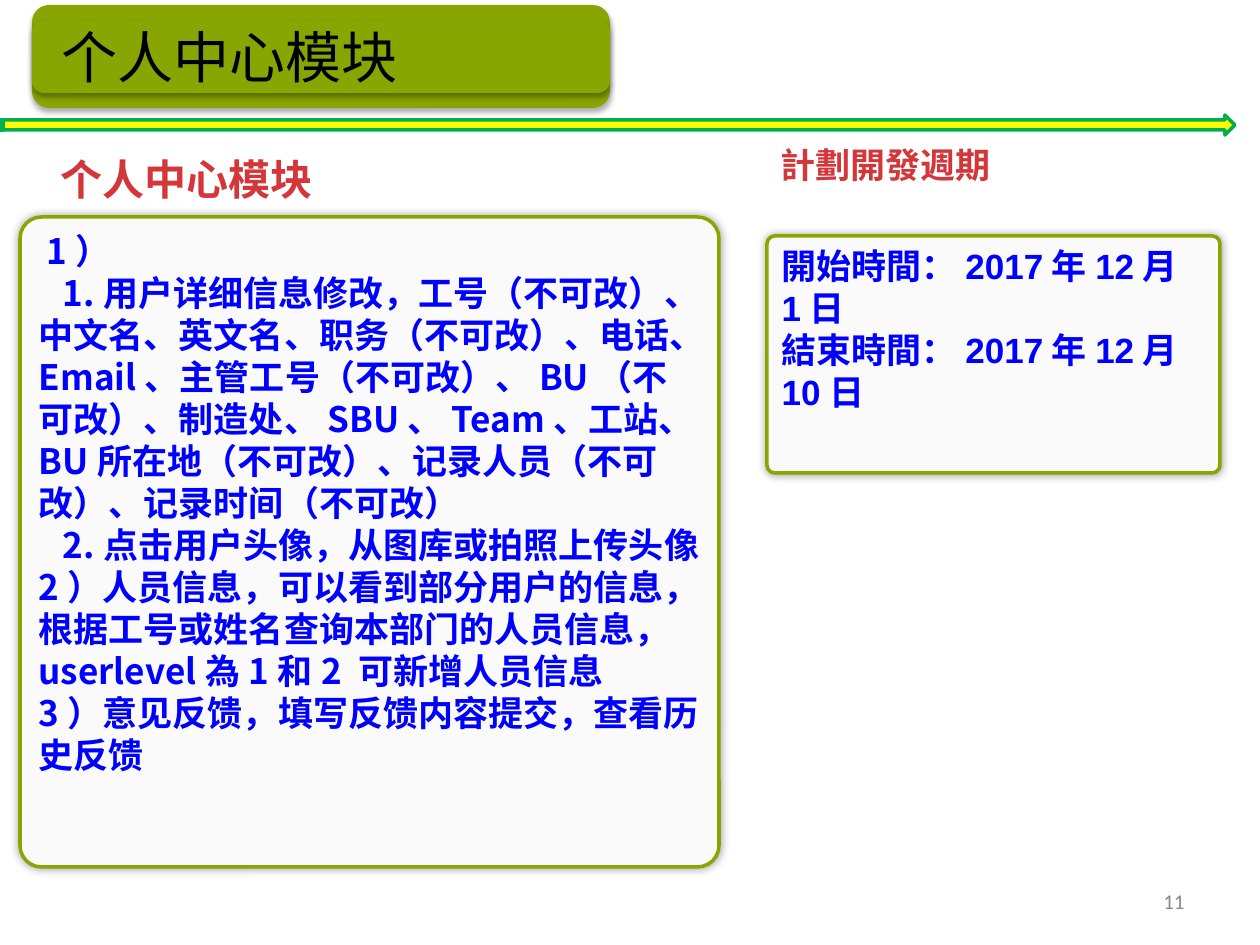
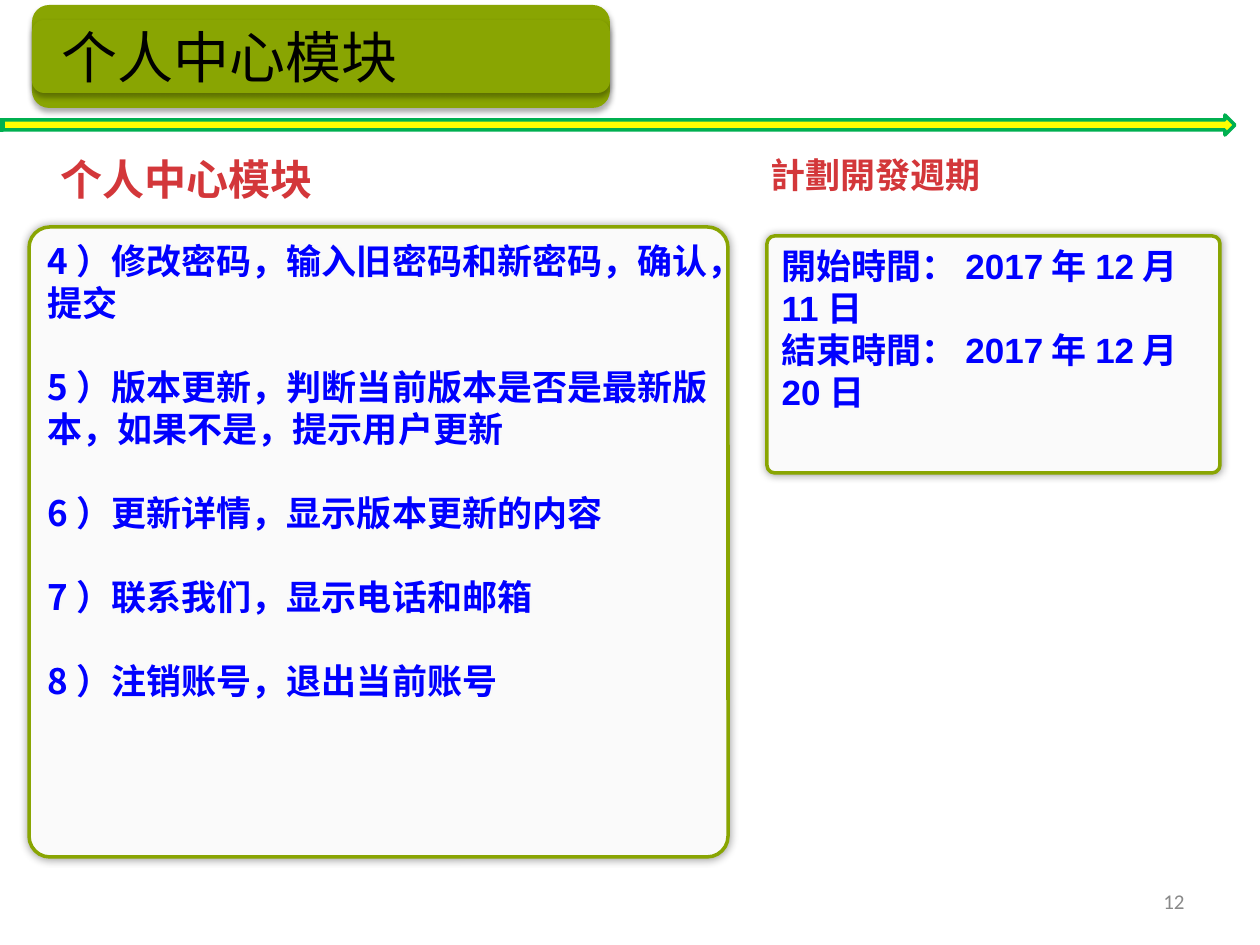
import dataclasses

import lxml.etree
import pptx
import pptx.dml.color
import pptx.enum.shapes
import pptx.enum.text
import pptx.oxml.ns
import pptx.util

Pt = pptx.util.Pt
Kind = pptx.enum.shapes.MSO_SHAPE
Align = pptx.enum.text.PP_ALIGN
Anchor = pptx.enum.text.MSO_ANCHOR
Fit = pptx.enum.text.MSO_AUTO_SIZE
qn = pptx.oxml.ns.qn

SCALE = 914400 / 126  # EMU in one pixel
HEX = {"olive": "89A502", "green": "00B050", "yellow": "FFFF00",
       "white": "FFFFFF", "black": "000000", "red": "D3373A",
       "blue": "0000FF", "gray": "898989"}


@dataclasses.dataclass(frozen=True)
class Box:
    left: int
    top: int
    width: int
    height: int

    def emu(self) -> list[int]:
        return [px(n) for n in dataclasses.astuple(self)]


@dataclasses.dataclass(frozen=True)
class Style:
    size: int
    color: str
    font: str = "Arial"
    bold: bool = True
    align: Align = Align.LEFT


@dataclasses.dataclass(frozen=True)
class Shade:
    alpha: int  # percent
    blur: float  # points
    dist: float  # points
    angle: int  # degrees


@dataclasses.dataclass(frozen=True)
class Para:
    text: str
    indent: int = 0  # pixels, first line only
    gap: int = 0  # points above


@dataclasses.dataclass(frozen=True)
class Page:
    number: int
    panel: Box
    items: list[Para]
    label: Box
    start: int
    end: int


TITLE = Style(32, "black", bold=False)
HEAD = Style(24, "red", align=Align.CENTER)
LABEL = Style(20, "red", align=Align.CENTER)
BODY = Style(20, "blue", "Noto Sans CJK SC")
DATES = Style(20, "blue")
NUMBER = Style(12, "gray", "Calibri", False, Align.RIGHT)
DROP = Shade(32, 3.5, 2.2, 90)
GLOW = Shade(40, 5, 0, 0)

NAME = "个人中心模块"
BANDS = [Box(32, 5, 578, 103), Box(32, 20, 578, 73)]


# Drawing helpers
def px(n: float) -> int:
    return round(n * SCALE)


def rgb(name: str) -> pptx.dml.color.RGBColor:
    return pptx.dml.color.RGBColor.from_string(HEX[name])


def write(frame, paras: list[Para], style: Style) -> None:
    for i, para in enumerate(paras):
        line = frame.paragraphs[0] if i == 0 else frame.add_paragraph()
        line.text = para.text
        line.alignment = style.align
        if para.gap:
            line.space_before = Pt(para.gap)
        if para.indent:
            line._p.get_or_add_pPr().set("indent", str(px(para.indent)))
        line.font.name = style.font
        line.font.size = Pt(style.size)
        line.font.bold = style.bold
        line.font.color.rgb = rgb(style.color)


def cast(shape, shade: Shade) -> None:
    """Give the shape an outer shadow."""
    shape.shadow.inherit = False
    effects = shape.element.spPr.find(qn("a:effectLst"))
    outer = lxml.etree.SubElement(
        effects, qn("a:outerShdw"), blurRad=str(Pt(shade.blur)),
        dist=str(Pt(shade.dist)), dir=str(shade.angle * 60000),
        algn="ctr", rotWithShape="0")
    color = lxml.etree.SubElement(outer, qn("a:srgbClr"), val=HEX["black"])
    lxml.etree.SubElement(color, qn("a:alpha"), val=str(shade.alpha * 1000))


def add_shape(shapes, kind: Kind, box: Box, fill: str, line: str = ""):
    shape = shapes.add_shape(kind, *box.emu())
    shape.shadow.inherit = False
    shape.fill.solid()
    shape.fill.fore_color.rgb = rgb(fill)
    if line:
        shape.line.color.rgb = rgb(line)
        shape.line.width = Pt(2)
    else:
        shape.line.fill.background()
    return shape


def add_panel(slide, box: Box, paras: list[Para], style: Style) -> None:
    panel = add_shape(slide.shapes, Kind.ROUNDED_RECTANGLE, box,
                      "white", "olive")
    panel.adjustments[0] = 0.033
    color = panel.element.spPr.find(qn("a:solidFill"))[0]
    lxml.etree.SubElement(color, qn("a:alpha"), val="95000")
    cast(panel, GLOW)
    frame = panel.text_frame
    frame.word_wrap = True
    frame.vertical_anchor = Anchor.TOP
    write(frame, paras, style)


def add_text(slide, box: Box, text: str, style: Style,
             anchor: Anchor = Anchor.TOP) -> None:
    frame = slide.shapes.add_textbox(*box.emu()).text_frame
    frame.word_wrap = True
    frame.vertical_anchor = anchor
    write(frame, [Para(text)], style)


def add_title(slide) -> None:
    """Draw the arrow rule, the banner and the title on top of it."""
    add_shape(slide.shapes, Kind.STRIPED_RIGHT_ARROW, Box(0, 115, 1235, 20),
              "yellow", "green")
    group = slide.shapes.add_group_shape()
    for box in BANDS:
        band = add_shape(group.shapes, Kind.ROUNDED_RECTANGLE, box, "olive")
        cast(band, DROP)
    title = slide.shapes.title
    title.left, title.top, title.width, title.height = Box(
        49, 16, 364, 81).emu()
    frame = title.text_frame
    frame.word_wrap = False
    frame.auto_size = Fit.NONE
    frame.vertical_anchor = Anchor.TOP
    write(frame, [Para(NAME)], TITLE)
    title.element.getparent().append(title.element)


def add_page(deck, page: Page) -> None:
    slide = deck.slides.add_slide(deck.slide_layouts[5])
    add_title(slide)
    add_text(slide, Box(29, 147, 315, 63), NAME, HEAD)
    add_panel(slide, page.panel, page.items, BODY)
    add_text(slide, Box(903, 876, 294, 50), str(page.number), NUMBER,
             Anchor.MIDDLE)
    dates = [Para(f"{word}時間：2017年12月{day}日")
             for word, day in (("開始", page.start), ("結束", page.end))]
    add_panel(slide, Box(767, 236, 453, 237), dates, DATES)
    add_text(slide, page.label, "計劃開發週期", LABEL)


# Content
PAGES = [
    Page(11, Box(20, 217, 699, 650), [
        Para("1）", indent=8),
        Para("1.用户详细信息修改，工号（不可改）、中文名、英文名、职务（不可改）、"
             "电话、Email、主管工号（不可改）、BU（不可改）、制造处、SBU、Team、"
             "工站、BU所在地（不可改）、记录人员（不可改）、记录时间（不可改）",
             indent=24),
        Para("2.点击用户头像，从图库或拍照上传头像", indent=24),
        Para("2）人员信息，可以看到部分用户的信息，根据工号或姓名查询本部门的"
             "人员信息，userlevel為1和2 可新增人员信息"),
        Para("3）意见反馈，填写反馈内容提交，查看历史反馈"),
    ], Box(767, 137, 237, 93), 1, 10),
    Page(12, Box(29, 227, 699, 630), [
        Para(text, gap=24 if i else 0) for i, text in enumerate([
            "4）修改密码，输入旧密码和新密码，确认，提交",
            "5）版本更新，判断当前版本是否是最新版本，如果不是，提示用户更新",
            "6）更新详情，显示版本更新的内容",
            "7）联系我们，显示电话和邮箱",
            "8）注销账号，退出当前账号",
        ])
    ], Box(757, 147, 237, 93), 11, 20),
]

# Build
deck = pptx.Presentation()
deck.slide_width, deck.slide_height = px(1260), px(945)
for page in PAGES:
    add_page(deck, page)
deck.save("out.pptx")
